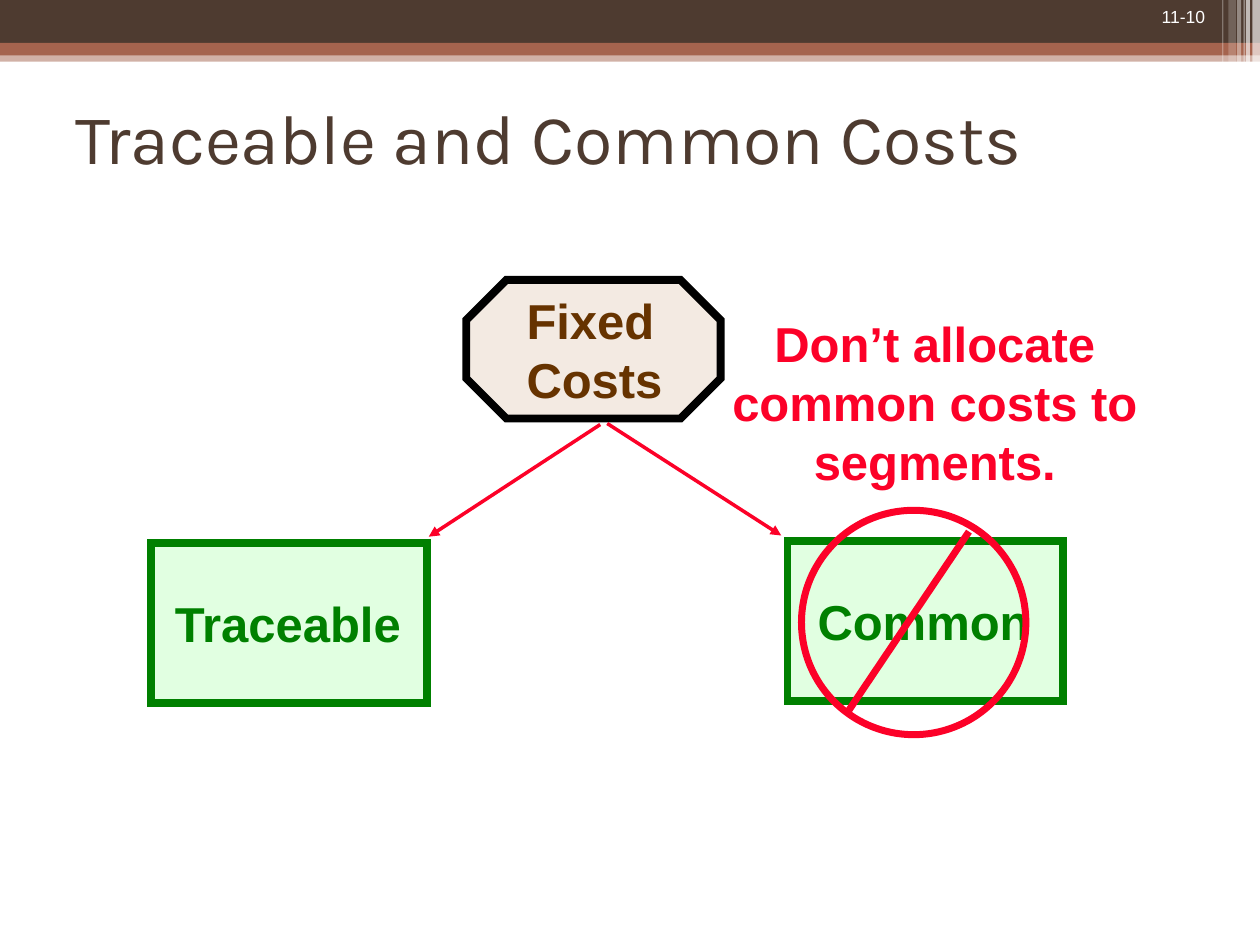
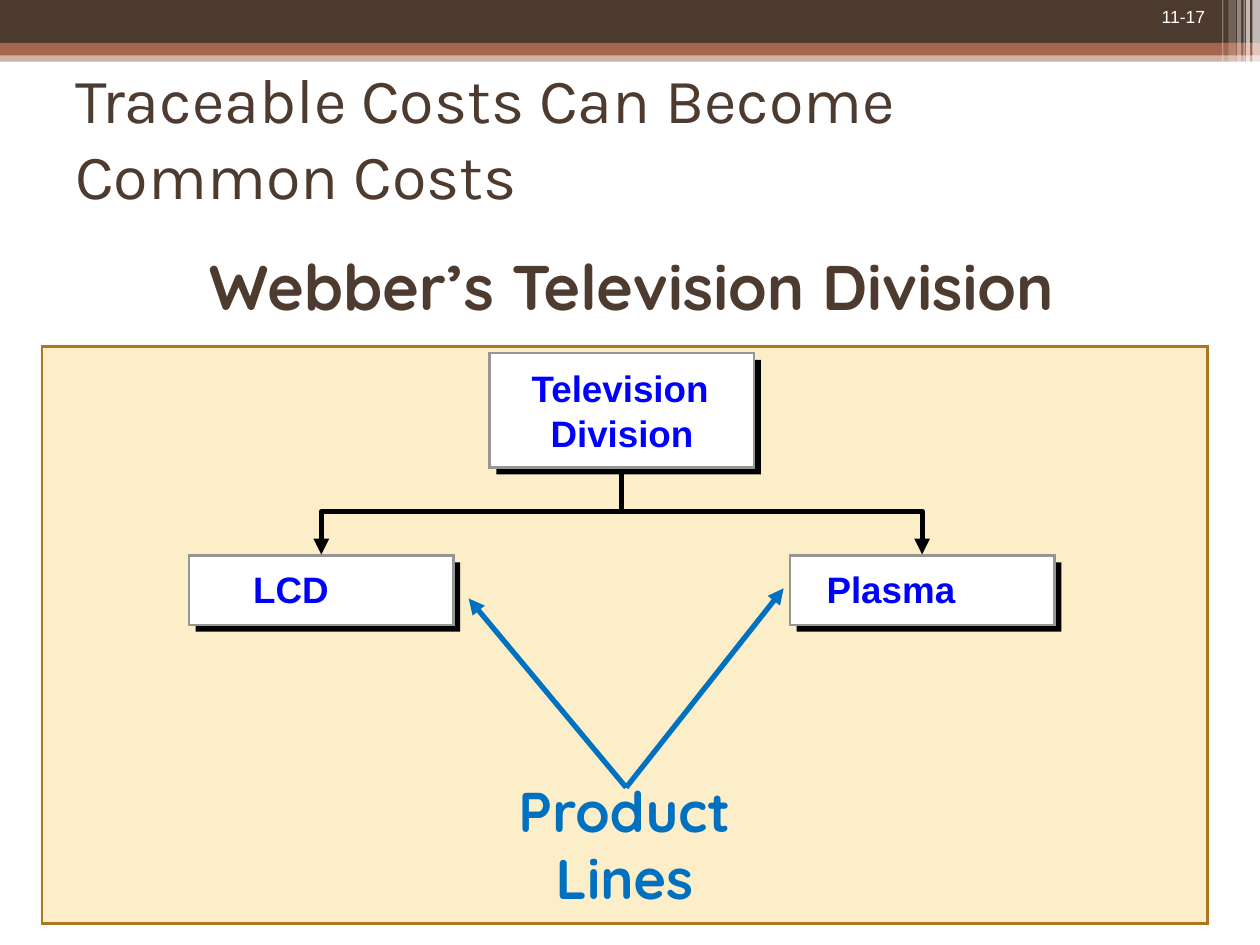
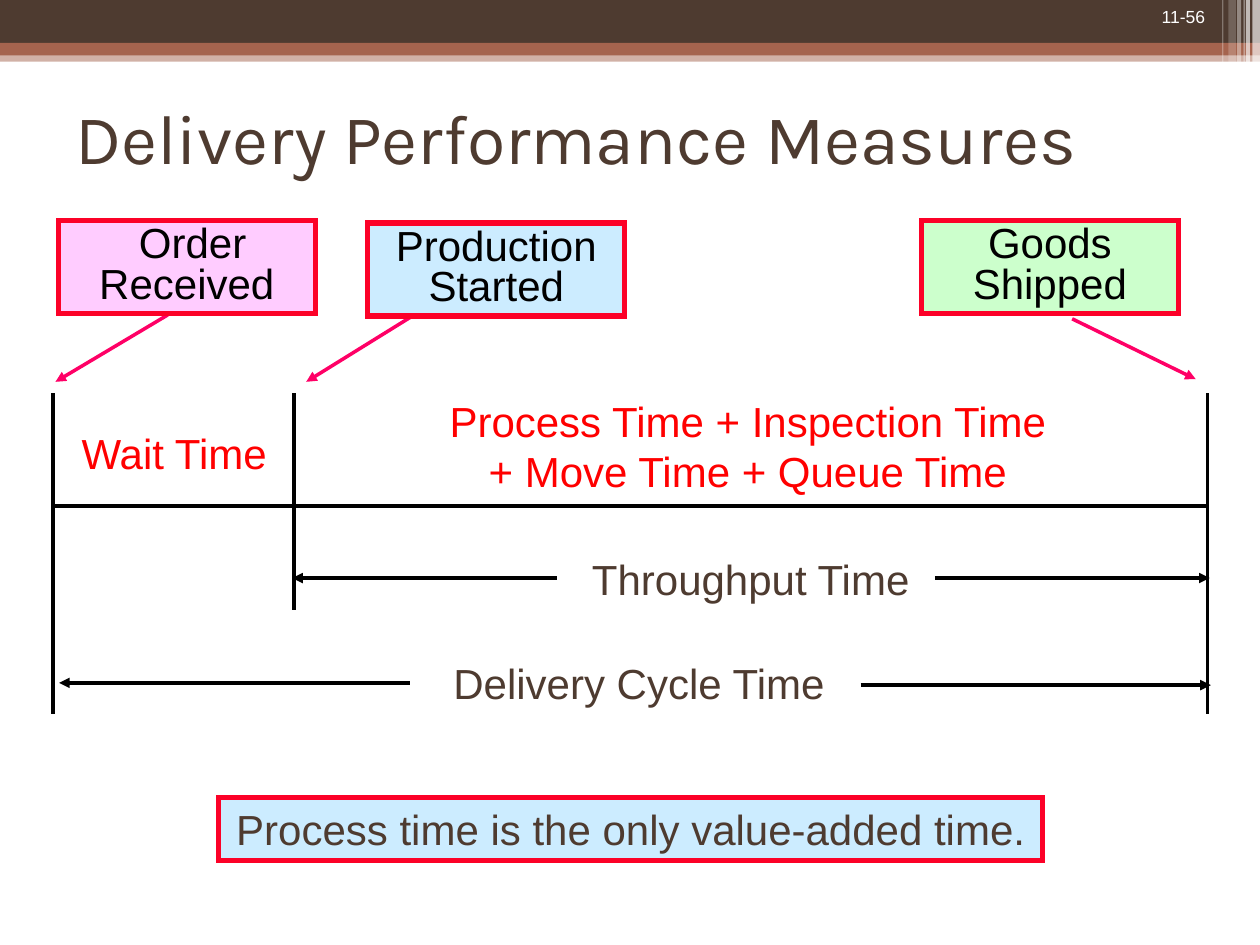
from lxml import etree
from pptx import Presentation
from pptx.dml.color import RGBColor
from pptx.enum.shapes import MSO_CONNECTOR, MSO_SHAPE
from pptx.enum.text import MSO_ANCHOR, PP_ALIGN
from pptx.oxml.ns import qn
from pptx.util import Pt

RECT, OCTAGON, OVAL = MSO_SHAPE.RECTANGLE, MSO_SHAPE.OCTAGON, MSO_SHAPE.OVAL
STRAIGHT, ELBOW = MSO_CONNECTOR.STRAIGHT, MSO_CONNECTOR.ELBOW
LEFT, CENTER, RIGHT = PP_ALIGN.LEFT, PP_ALIGN.CENTER, PP_ALIGN.RIGHT
TOP, MIDDLE = MSO_ANCHOR.TOP, MSO_ANCHOR.MIDDLE

BROWN = RGBColor(0x4E, 0x3B, 0x30)
RUST = RGBColor(0xA5, 0x64, 0x4E)
WHITE = RGBColor(0xFF, 0xFF, 0xFF)
BLACK = RGBColor(0, 0, 0)
CRIMSON = RGBColor(0xFC, 0x01, 0x28)
RED = RGBColor(0xFF, 0, 0)
PINK = RGBColor(0xFF, 0, 0x66)
GREEN = RGBColor(0, 0x80, 0)
MINT = RGBColor(0xE1, 0xFF, 0xE1)
CREAM = RGBColor(0xF3, 0xEA, 0xE2)
UMBER = RGBColor(0x66, 0x33, 0)
SAND = RGBColor(0xFB, 0xEE, 0xC9)
OCHRE = RGBColor(0xB0, 0x76, 0x1F)
BLUE = RGBColor(0, 0, 0xFF)
AZURE = RGBColor(0, 0x70, 0xC0)
GREY = RGBColor(0x96, 0x96, 0x96)
LILAC = RGBColor(0xFF, 0xCC, 0xFF)
SKY = RGBColor(0xCC, 0xEC, 0xFF)
LIME = RGBColor(0xCC, 0xFF, 0xCC)

# Left, width, height and opacity of the stripes at the band's right end
STRIPES = [(715.7, 4.3, 49, 65), (712, 2.2, 49, 65), (710.6, 0.7, 49, 60),
           (707, 2.2, 49, 40), (702, 4.3, 46, 20), (698.4, 0.7, 46, 30)]


# Elements
def shape(slide, kind, x, y, w, h, fill=None, edge=None, width=1.5, alpha=100):
    item = slide.shapes.add_shape(kind, Pt(x), Pt(y), Pt(w), Pt(h))
    item.shadow.inherit = False
    if fill is None:
        item.fill.background()
    else:
        item.fill.solid()
        item.fill.fore_color.rgb = fill
        if alpha < 100:
            color = item.fill._xPr.find(qn("a:solidFill"))[0]
            etree.SubElement(color, qn("a:alpha")).set("val", str(alpha * 1000))
    if edge is None:
        item.line.fill.background()
    else:
        item.line.color.rgb = edge
        item.line.width = Pt(width)
        border = item._element.spPr.find(qn("a:ln"))
        etree.SubElement(border, qn("a:miter")).set("lim", "800000")
    return item


def write(item, lines, size, color, align=LEFT, bold=False, font="Arial",
          wrap=False, anchor=TOP, inset=True, space=None):
    frame = item.text_frame
    frame.word_wrap = wrap
    frame.vertical_anchor = anchor
    if not inset:
        frame.margin_left = frame.margin_right = 0
        frame.margin_top = frame.margin_bottom = 0
    for i, line in enumerate(lines):
        para = frame.add_paragraph() if i else frame.paragraphs[0]
        para.text = line
        para.alignment = align
        if space:
            para.line_spacing = space
        para.font.name = font
        para.font.size = Pt(size)
        para.font.bold = bold
        para.font.color.rgb = color


def label(slide, x, y, w, h, lines, size, color, **style):
    box = slide.shapes.add_textbox(Pt(x), Pt(y), Pt(w), Pt(h))
    write(box, lines, size, color, **style)


def stroke(link, color, width, arrow):
    link.line.color.rgb = color
    link.line.width = Pt(width)
    props = link._element.spPr
    if arrow:
        etree.SubElement(props.find(qn("a:ln")), qn("a:tailEnd")).set("type", "triangle")
    etree.SubElement(props, qn("a:effectLst"))


def line(slide, x1, y1, x2, y2, color=BLACK, width=2, arrow=False):
    link = slide.shapes.add_connector(STRAIGHT, Pt(x1), Pt(y1), Pt(x2), Pt(y2))
    stroke(link, color, width, arrow)


def drop(slide, x1, y1, x2, y2):
    """Elbow arrow that leaves downwards, made by turning a sideways one."""
    midx, midy = (x1 + x2) / 2, (y1 + y2) / 2
    long, wide = (y2 - y1) / 2, abs(x2 - x1) / 2
    side = 1 if x2 > x1 else -1
    link = slide.shapes.add_connector(
        ELBOW, Pt(midx + side * long), Pt(midy - wide),
        Pt(midx - side * long), Pt(midy + wide))
    turn = 270 if side > 0 else 90
    link._element.spPr.find(qn("a:xfrm")).set("rot", str(turn * 60000))
    stroke(link, BLACK, 3, True)


def card(slide, x, y, w, h):
    shape(slide, RECT, x + 3.8, y + 3.8, w, h, BLACK)
    shape(slide, RECT, x, y, w, h, WHITE, GREY)


def start(deck, number, title, size=40):
    """New slide with band, page number and title."""
    slide = deck.slides.add_slide(deck.slide_layouts[6])
    shape(slide, RECT, 0, 28.8, 720, 6.5, RUST, alpha=50)
    shape(slide, RECT, 0, 0, 720, 24.5, BROWN)
    shape(slide, RECT, 0, 24.5, 720, 7.2, RUST)
    for x, w, h, alpha in STRIPES:
        shape(slide, RECT, x, 0, w, h, WHITE, alpha=alpha)
    label(slide, 617.8, 0, 77.8, 19.4, [number], 10, WHITE, align=RIGHT, wrap=True)
    label(slide, 36, 36, 648, 84, [title], size, BROWN, font="Karla",
          wrap=True, anchor=MIDDLE)
    return slide


# Slides
def costs(deck):
    slide = start(deck, "11-10", "Traceable and Common Costs")
    root = shape(slide, OCTAGON, 266.4, 160, 145.4, 79.2, CREAM, BLACK, 4.5)
    root.adjustments[0] = 0.29
    label(slide, 293.8, 162.7, 92, 74.2, ["Fixed", "Costs"], 28, UMBER, bold=True)

    line(slide, 343, 242.6, 245, 306.7, CRIMSON, arrow=True)
    shape(slide, RECT, 86.4, 310.3, 157.7, 91.4, MINT, GREEN, 4.5)
    label(slide, 92.9, 335.7, 144.7, 40.3, ["Traceable"], 28, GREEN, bold=True)

    line(slide, 347, 242, 446.4, 306, CRIMSON, arrow=True)
    shape(slide, RECT, 450, 309, 157.7, 91.4, MINT, GREEN, 4.5)
    label(slide, 460, 334.6, 135.4, 40.3, ["Common"], 28, GREEN, bold=True, align=RIGHT)

    # Warning and its crossed circle
    label(slide, 408.2, 175.7, 252, 108, ["Don’t allocate", "common costs to segments."],
          28, CRIMSON, bold=True, align=CENTER, wrap=True)
    shape(slide, OVAL, 458, 291.6, 128.2, 128.2, None, CRIMSON, 4)
    line(slide, 553.7, 303.8, 484, 407.5, CRIMSON, 4)


def lines(deck):
    slide = start(deck, "11-17", "Traceable Costs Can Become\nCommon Costs", 36)
    shape(slide, RECT, 24, 198, 666, 329.8, SAND, OCHRE)
    label(slide, 99.4, 138.2, 522.7, 50.4, ["Webber’s Television Division"], 36, BROWN,
          font="Quicksand", bold=True, align=CENTER)
    label(slide, 286.6, 440, 140.4, 83.5, ["Product", "Lines"], 32, AZURE,
          font="Quicksand", bold=True, align=CENTER)

    # Division chart
    card(slide, 279.8, 201.8, 151.2, 65.5)
    for x in (108, 451.5):
        card(slide, x, 317.5, 151.2, 39.6)
    for x, y, w, name in [(303.8, 208.8, 110, "Television"), (314.6, 234.7, 90, "Division"),
                          (144.7, 324, 55, "LCD"), (472.3, 324, 90, "Plasma")]:
        label(slide, x, y, w, 25.2, [name], 21, BLUE, bold=True, wrap=True, inset=False)
    for x in (183.6, 527):
        drop(slide, 355, 267.8, x, 316.8)
    for x, y in [(267.8, 342), (447.8, 336.2)]:
        line(slide, 357.8, 450, x, y, AZURE, 3, True)


def times(deck):
    slide = start(deck, "11-56", "Delivery Performance Measures")
    note = shape(slide, RECT, 125, 455.8, 470.9, 36, SKY, CRIMSON, 3)
    write(note, ["Process time is the only value-added time."], 24, BROWN,
          align=CENTER, wrap=True)

    # Events and their pointers
    for x, y, fill, name, tip in [
            (33.3, 126, LILAC, " Order Received", (95.8, 180, 31.7, 218.2)),
            (210.2, 127.4, SKY, "Production\nStarted", (235, 181, 175, 218.2)),
            (526.5, 126, LIME, "Goods Shipped", (612.7, 182.2, 683.3, 216.7))]:
        line(slide, *tip, PINK, arrow=True)
        event = shape(slide, RECT, x, y, 146.9, 53.3, fill, CRIMSON, 3)
        write(event, [name], 24, BLACK, align=CENTER, wrap=True, space=0.8)

    # Time line
    for x, end in [(30.2, 408.2), (168, 348.5), (690, 408.2)]:
        line(slide, x, 224.6, x, end)
    line(slide, 30.2, 289.4, 690, 289.4, width=2.25)
    label(slide, 39.6, 240.5, 122.4, 36, ["Wait Time"], 24, RED)
    label(slide, 248.4, 222.5, 357.8, 64.8,
          ["Process Time + Inspection Time\n+ Move Time + Queue Time"], 24, RED, align=CENTER)

    # Spans
    label(slide, 331.2, 312.5, 197.3, 36, ["Throughput Time"], 24, BROWN)
    label(slide, 252, 372.2, 227.5, 36, ["Delivery Cycle Time"], 24, BROWN)
    for x1, x2, y in [(318.2, 167, 330.3), (534.2, 691.2, 330.3),
                      (234, 33.8, 390.2), (491.8, 691.9, 391.5)]:
        line(slide, x1, y, x2, y, arrow=True)


def main():
    deck = Presentation()
    deck.slide_width, deck.slide_height = Pt(720), Pt(540)
    costs(deck)
    lines(deck)
    times(deck)
    deck.save("out.pptx")


if __name__ == "__main__":
    main()
